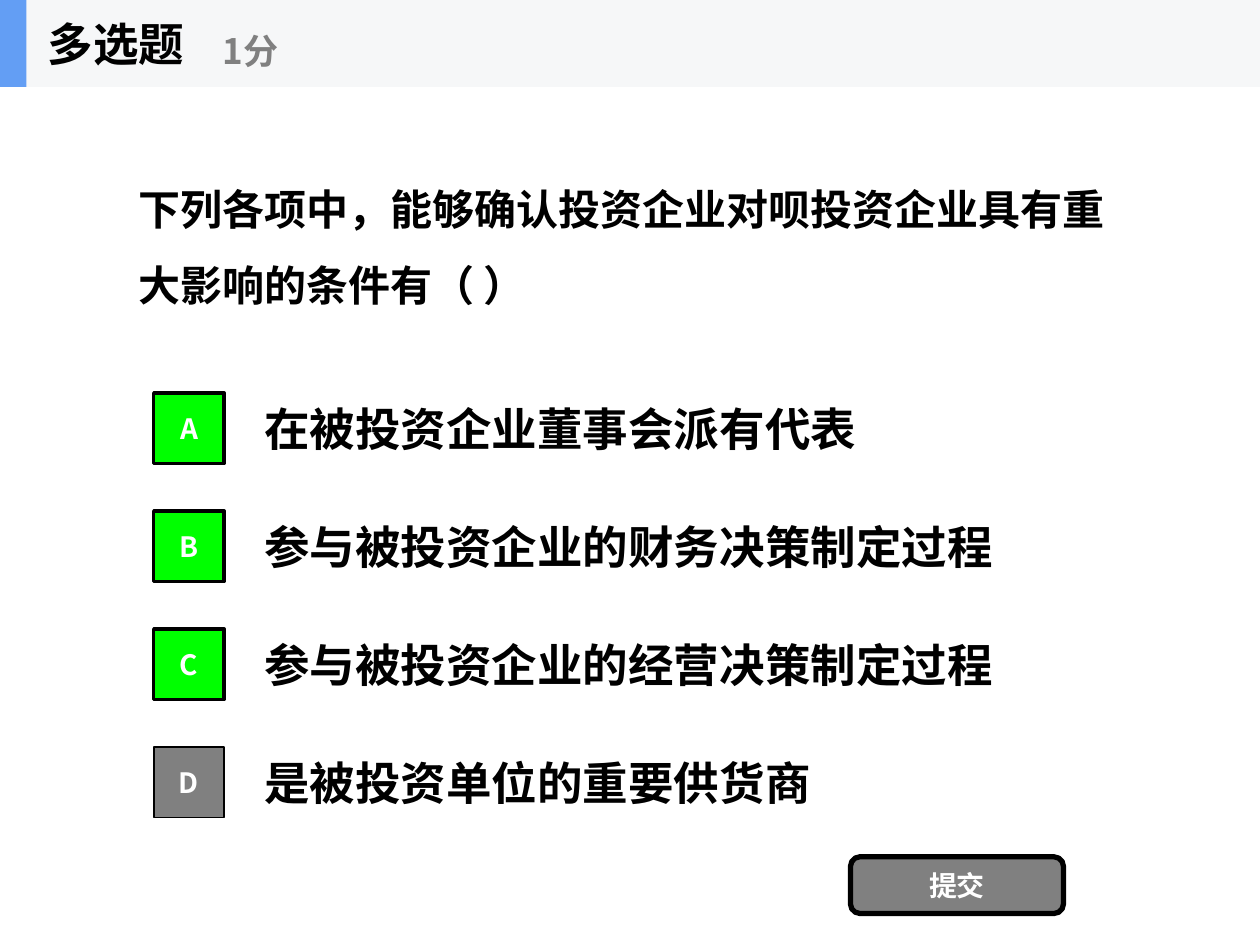
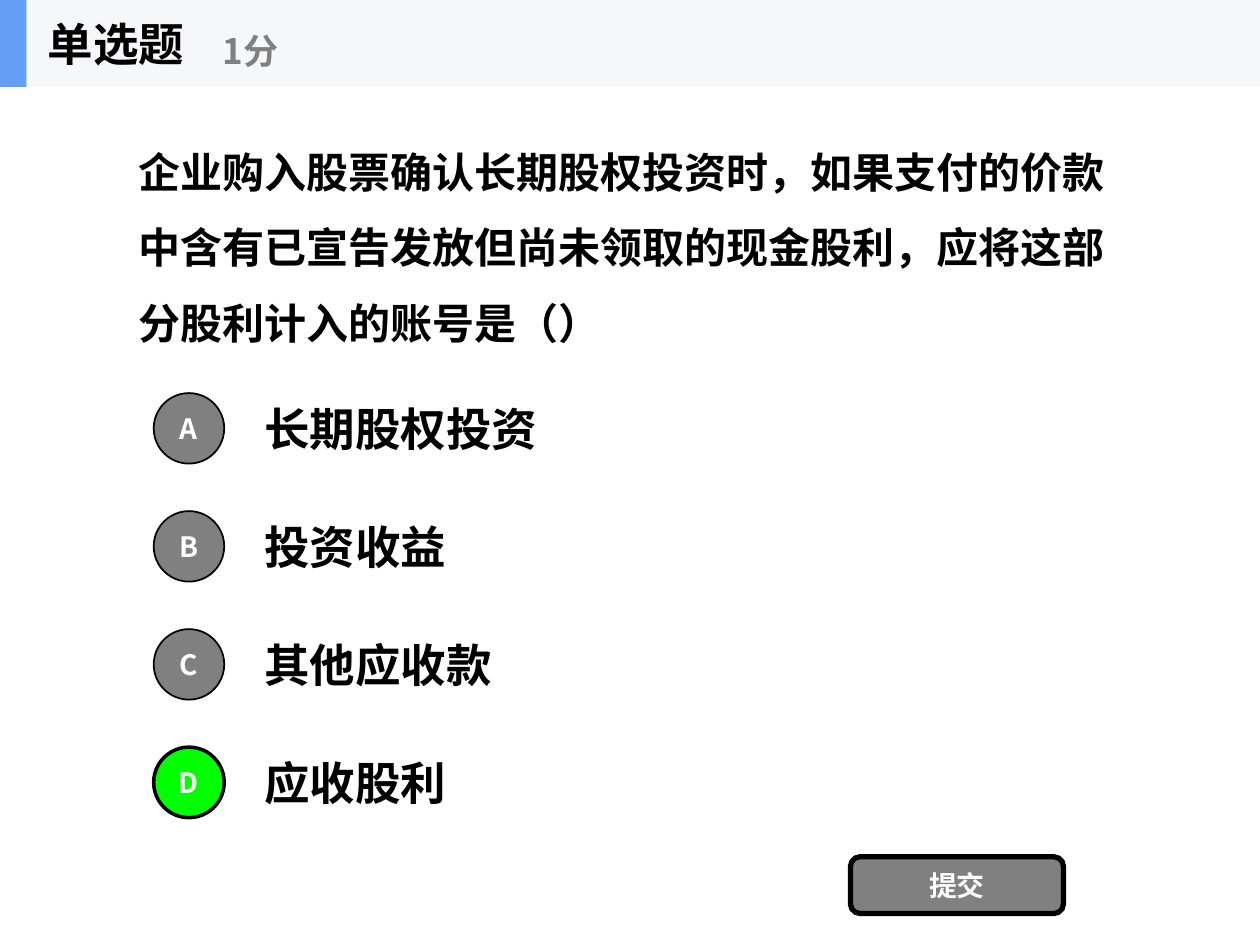
from lxml.etree import SubElement
from pptx import Presentation
from pptx.dml.color import RGBColor
from pptx.enum.shapes import MSO_SHAPE
from pptx.enum.text import MSO_ANCHOR, MSO_AUTO_SIZE, PP_ALIGN
from pptx.oxml.ns import qn
from pptx.util import Inches, Pt

FONT = "Noto Sans CJK SC"
COLORS = {
    "ink": "000000",
    "paper": "FFFFFF",
    "grey": "808080",
    "correct": "00FF00",
    "band": "F6F7F8",
    "accent": "639EF4",
}
FRAME_FORMAT = {
    "word_wrap": True,
    "auto_size": MSO_AUTO_SIZE.NONE,
    "vertical_anchor": MSO_ANCHOR.MIDDLE,
    "margin_left": Inches(0.1),
    "margin_right": Inches(0.1),
    "margin_top": Inches(0.05),
    "margin_bottom": Inches(0.05),
}
HEADER_HEIGHT = 0.69
FIRST_ANSWER_TOP = 3.05
ANSWER_HEIGHT = 0.7
ANSWER_PITCH = (5.86 - FIRST_ANSWER_TOP) / 3
MARKER_SIZE = 0.56

QUESTIONS = [
    {
        "kind": "多选题",
        "prompt": "下列各项中，能够确认投资企业对呗投资企业具有重大影响的条件有（ ）",
        "answers": [
            "在被投资企业董事会派有代表",
            "参与被投资企业的财务决策制定过程",
            "参与被投资企业的经营决策制定过程",
            "是被投资单位的重要供货商",
        ],
        "correct": "ABC",
        "marker": MSO_SHAPE.RECTANGLE,
    },
    {
        "kind": "单选题",
        "prompt": "企业购入股票确认长期股权投资时，如果支付的价款中含有已宣告发放但尚未领取的现金股利，"
                  "应将这部分股利计入的账号是（）",
        "answers": ["长期股权投资", "投资收益", "其他应收款", "应收股利"],
        "correct": "D",
        "marker": MSO_SHAPE.OVAL,
    },
]


def write(holder, text, size, color="ink", align=PP_ALIGN.LEFT, spacing=1.0):
    """Fill a shape with one bold paragraph in the shared Latin and East Asian font."""
    for name, value in FRAME_FORMAT.items():
        setattr(holder.text_frame, name, value)
    paragraph = holder.text_frame.paragraphs[0]
    paragraph.alignment = align
    paragraph.line_spacing = spacing
    run = paragraph.add_run()
    run.text = text
    for name, value in {"size": Pt(size), "bold": True, "name": FONT}.items():
        setattr(run.font, name, value)
    run.font.color.rgb = RGBColor.from_string(COLORS[color])
    SubElement(run.font._element, qn("a:ea"), typeface=FONT)


def add_panel(slide, preset, box, fill, line_width=0):
    panel = slide.shapes.add_shape(preset, *map(Inches, box))
    panel.shadow.inherit = False
    panel.fill.solid()
    panel.fill.fore_color.rgb = RGBColor.from_string(COLORS[fill])
    if line_width:
        panel.line.color.rgb = RGBColor.from_string(COLORS["ink"])
        panel.line.width = Pt(line_width)
    else:
        panel.line.fill.background()
    return panel


deck = Presentation()
deck.slide_width, deck.slide_height = Inches(10), Inches(7.5)
title_only = deck.slide_layouts[5]

for question in QUESTIONS:
    slide = deck.slides.add_slide(title_only)

    # Header: the band and its accent go behind the title
    title = slide.shapes.title
    for width, fill in [(10, "band"), (0.21, "accent")]:
        strip = add_panel(slide, MSO_SHAPE.RECTANGLE, (0, 0, width, HEADER_HEIGHT), fill)
        title.element.addprevious(strip.element)
    title_place = {"left": 0.28, "top": 0, "width": 2.08, "height": HEADER_HEIGHT}
    for name, value in title_place.items():
        setattr(title, name, Inches(value))
    write(title, question["kind"], 26)
    score = slide.shapes.add_textbox(*map(Inches, (1.67, 0.12, 2.5, 0.56)))
    write(score, "1分", 20, "grey")

    prompt = slide.shapes.add_textbox(*map(Inches, (1, HEADER_HEIGHT, 8, 2.34)))
    write(prompt, question["prompt"], 24, spacing=1.5)

    # Answers with lettered markers
    for row, (letter, wording) in enumerate(zip("ABCD", question["answers"])):
        top = FIRST_ANSWER_TOP + row * ANSWER_PITCH
        answer = slide.shapes.add_textbox(*map(Inches, (2, top, 7, ANSWER_HEIGHT)))
        write(answer, wording, 26)

        marker_top = top + (ANSWER_HEIGHT - MARKER_SIZE) / 2
        fill, line_width = ("correct", 2) if letter in question["correct"] else ("grey", 1)
        marker = add_panel(slide, question["marker"],
                           (1.22, marker_top, MARKER_SIZE, MARKER_SIZE), fill, line_width)
        write(marker, letter, 16, "paper", PP_ALIGN.CENTER)

    submit = add_panel(slide, MSO_SHAPE.ROUNDED_RECTANGLE, (6.75, 6.8, 1.69, 0.45), "grey", 3)
    write(submit, "提交", 16, "paper", PP_ALIGN.CENTER)

deck.save("out.pptx")
